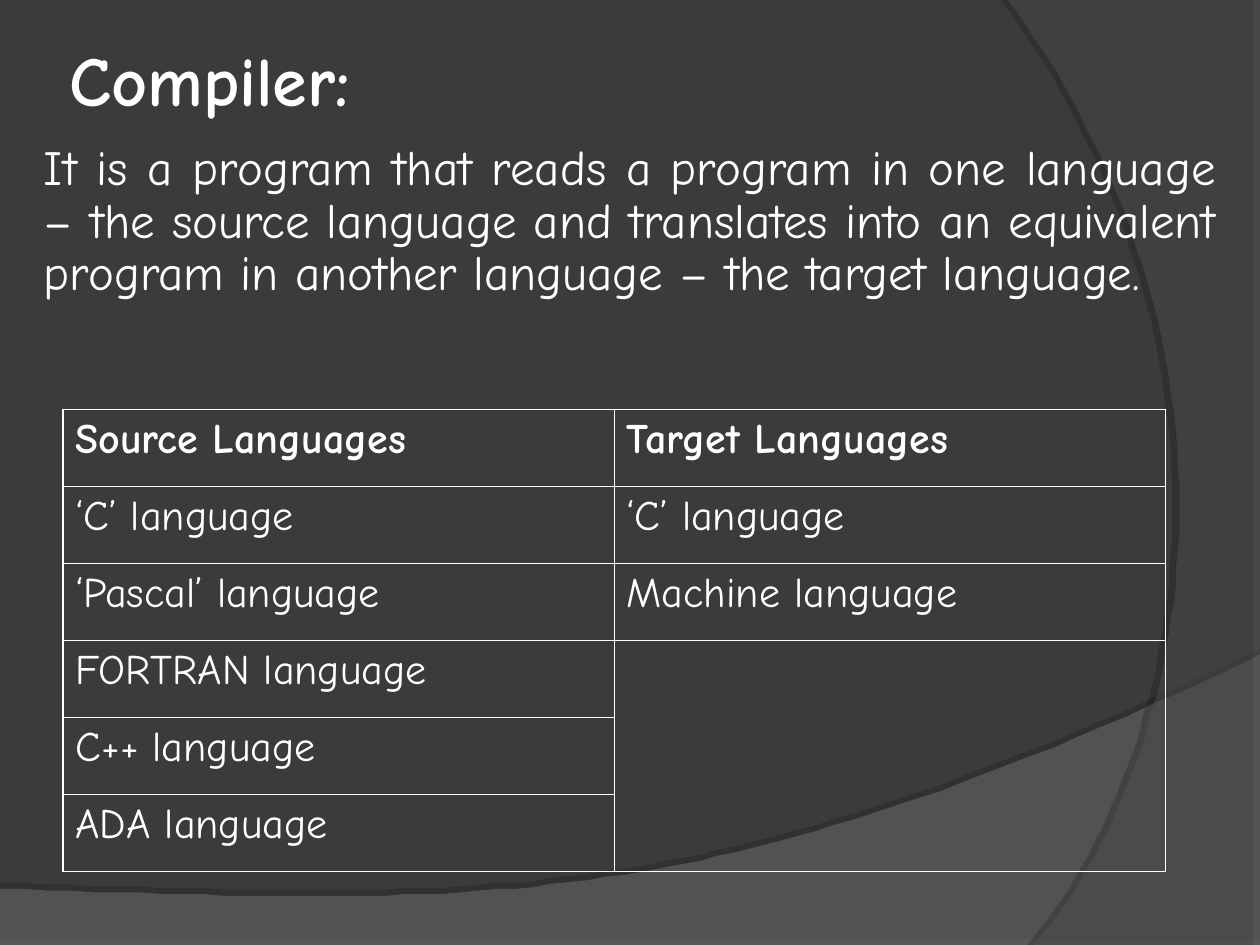
"""Build the slide that defines a compiler and lists source and target languages."""
from lxml import etree
from pptx import Presentation
from pptx.dml.color import RGBColor
from pptx.enum.text import MSO_ANCHOR, PP_ALIGN
from pptx.oxml.ns import qn
from pptx.util import Pt

COLORS = {"ground": "3B3B3B", "wave": "7C7C7C", "arc": "595959",
          "text": "FFFFFF", "shadow": "000000"}
LANGUAGES = [
    ("Source Languages", "Target Languages"),
    ("‘C’ language", "‘C’ language"),
    ("‘Pascal’ language", "Machine language"),
    ("FORTRAN language", ""),
    ("C++ language", ""),
    ("ADA language", ""),
]
FIRST_EMPTY_ROW = 3
DEFINITION = (
    "It is a program that reads a program in one language – the source language "
    "and translates into an equivalent program in another language – the target language."
)


def add_color(parent, color, opacity=100):
    """Append a colour element with the given opacity in percent."""
    tone = etree.SubElement(parent, qn("a:srgbClr"), val=COLORS[color])
    if opacity < 100:
        etree.SubElement(tone, qn("a:alpha"), val=str(opacity * 1000))


def curve(start, pull_out, pull_in, end, steps=60):
    """Return points along a cubic curve."""
    return [
        tuple((1 - t) ** 3 * a + 3 * (1 - t) ** 2 * t * b + 3 * (1 - t) * t * t * c + t ** 3 * d
              for a, b, c, d in zip(start, pull_out, pull_in, end))
        for t in (step / steps for step in range(steps + 1))
    ]


class SlideBuilder:
    """Hold the style and the current slide."""

    font = "Comic Neue"
    thick, thin = 1.08, 0.45

    def __init__(self, deck):
        """Start a title-only slide on a dark ground."""
        self.slide = deck.slides.add_slide(deck.slide_layouts[5])
        ground = self.slide.background.fill
        ground.solid()
        ground.fore_color.rgb = RGBColor.from_string(COLORS["ground"])

    def place(self, item, left, top, width, height):
        """Set the position and size of a shape."""
        box = {"left": left, "top": top, "width": width, "height": height}
        for name, value in box.items():
            setattr(item, name, Pt(value))

    def set_text(self, frame, words, size, bold=False, **paragraph_format):
        """Fill a text frame with one formatted paragraph."""
        frame.word_wrap = True
        paragraph = frame.paragraphs[0]
        paragraph.text = words
        for name, value in paragraph_format.items():
            setattr(paragraph, name, value)
        for name, value in {"name": self.font, "size": Pt(size), "bold": bold}.items():
            setattr(paragraph.font, name, value)
        paragraph.font.color.rgb = RGBColor.from_string(COLORS["text"])

    def backdrop(self, points, color, opacity, shade, distance, direction):
        """Draw a translucent shadowed outline behind the title."""
        builder = self.slide.shapes.build_freeform(*points[0], scale=Pt(1))
        builder.add_line_segments(points[1:], close=True)
        panel = builder.convert_to_shape()
        panel.line.fill.background()
        panel.fill.solid()
        panel.fill.fore_color.rgb = RGBColor.from_string(COLORS[color])
        fill = panel.element.spPr.find(qn("a:solidFill"))
        fill.clear()
        add_color(fill, color, opacity)
        panel.shadow.inherit = False
        effects = panel.element.spPr.find(qn("a:effectLst"))
        shadow = etree.SubElement(effects, qn("a:outerShdw"), blurRad="0",
                                  dist=str(Pt(distance)), dir=str(direction * 60000),
                                  algn="ctr", rotWithShape="0")
        add_color(shadow, "shadow", shade)
        self.slide.shapes.title.element.addprevious(panel.element)

    def title(self, words, *box):
        """Fill the title placeholder."""
        heading = self.slide.shapes.title
        self.place(heading, *box)
        frame = heading.text_frame
        for side in ("left", "top", "right", "bottom"):
            setattr(frame, f"margin_{side}", Pt(3.6))
        frame.vertical_anchor = MSO_ANCHOR.MIDDLE
        self.set_text(frame, words, 40, bold=True, alignment=PP_ALIGN.LEFT)

    def statement(self, words, *box):
        """Add a justified text box."""
        frame = self.slide.shapes.add_textbox(*map(Pt, box)).text_frame
        self.set_text(frame, words, 28, alignment=PP_ALIGN.JUSTIFY, line_spacing=0.9)

    def border(self, cell, outer_sides):
        """Rule a cell, thicker on its outer sides."""
        properties = cell._tc.get_or_add_tcPr()
        for index, side in enumerate("LRTB"):
            width = self.thick if side in outer_sides else self.thin
            line = etree.Element(qn(f"a:ln{side}"), w=str(Pt(width)))
            add_color(etree.SubElement(line, qn("a:solidFill")), "text")
            properties.insert(index, line)

    def table(self, rows, first_empty, *box):
        """Add a ruled table whose empty lower right cells are merged."""
        last = len(rows) - 1
        grid = self.slide.shapes.add_table(len(rows), 2, *map(Pt, box)).table
        grid.first_row = grid.horz_banding = False
        grid.cell(first_empty, 1).merge(grid.cell(last, 1))
        for r, row in enumerate(rows):
            for c, words in enumerate(row):
                cell = grid.cell(r, c)
                cell.fill.background()
                bottom = r + cell.span_height - 1 if cell.is_merge_origin else r
                outer = "LR"[c] + ("T" if r == 0 else "") + ("B" if bottom == last else "")
                self.border(cell, outer)
                if words:
                    self.set_text(cell.text_frame, words, 24, bold=r == 0)


def main():
    """Compose and save the slide."""
    deck = Presentation()
    deck.slide_width, deck.slide_height = Pt(720), Pt(540)
    page = SlideBuilder(deck)
    wave = [(0, 540), (720, 540)] + curve((720, 374.4), (402.5, 525), (281.5, 517.7), (0, 507.6))
    arc = [(720, 0), (720, 540)] + curve((591, 540), (673, 445.7), (733, 216), (576, 0))
    page.backdrop(wave, "wave", 45, shade=35, distance=3.5, direction=270)
    page.backdrop(arc, "arc", 40, shade=45, distance=4, direction=180)
    page.title("Compiler:", 36, 0, 588, 90)
    page.table(LANGUAGES, FIRST_EMPTY_ROW, 36, 234, 630, 264)
    page.statement(DEFINITION, 18, 78, 684, 98)
    deck.save("out.pptx")


if __name__ == "__main__":
    main()
